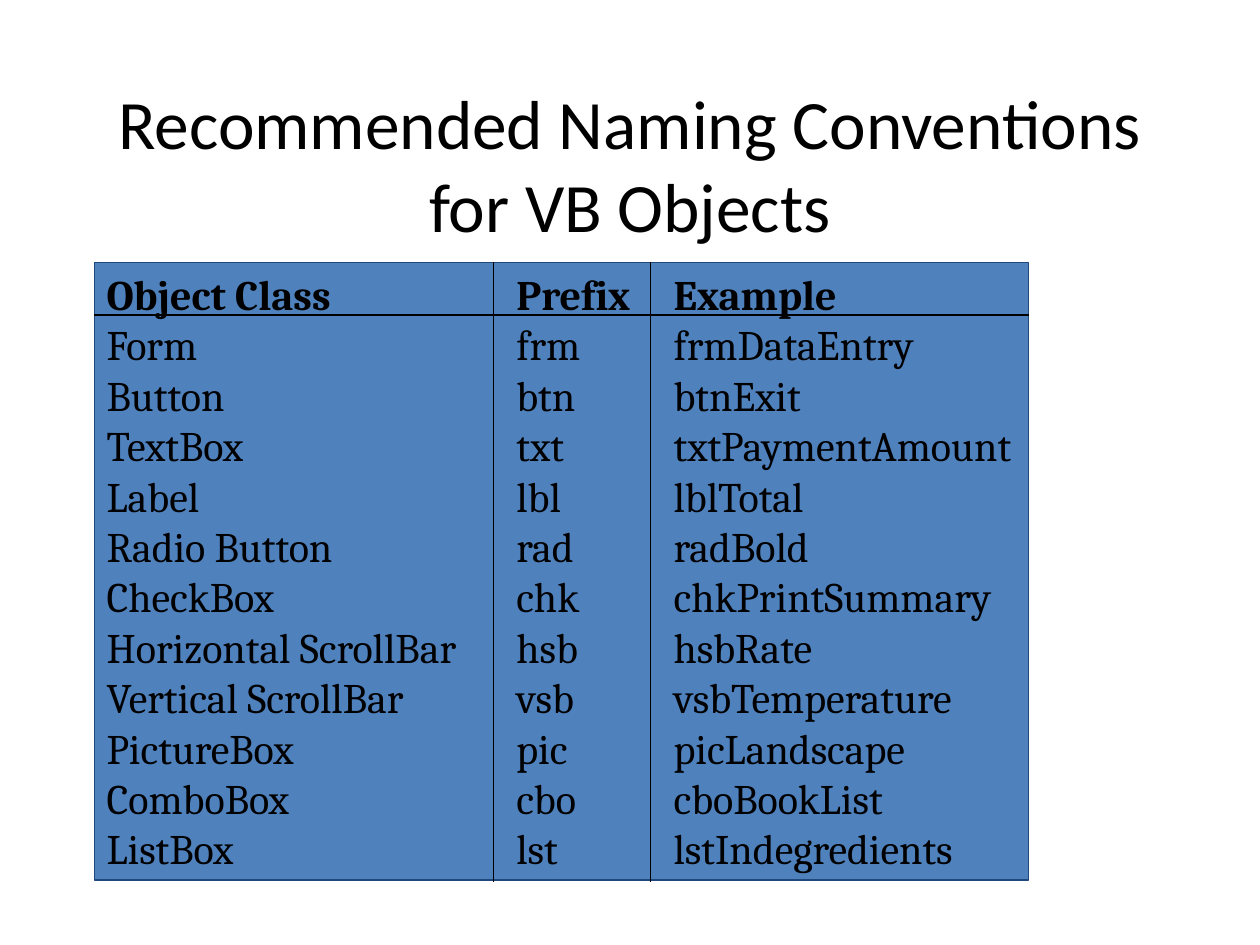
from lxml import etree
from pptx import Presentation
from pptx import util as u
from pptx.dml.color import RGBColor
from pptx.enum import shapes, text
from pptx.oxml.ns import qn

ROWS = [
    ("Object Class", "Prefix", "Example"),
    ("Form", "frm", "frmDataEntry"),
    ("Button", "btn", "btnExit"),
    ("TextBox", "txt", "txtPaymentAmount"),
    ("Label", "lbl", "lblTotal"),
    ("Radio Button", "rad", "radBold"),
    ("CheckBox", "chk", "chkPrintSummary"),
    ("Horizontal ScrollBar", "hsb", "hsbRate"),
    ("Vertical ScrollBar", "vsb", "vsbTemperature"),
    ("PictureBox", "pic", "picLandscape"),
    ("ComboBox", "cbo", "cboBookList"),
    ("ListBox", "lst", "lstIndegredients"),
]


def color(value):
    return RGBColor.from_string(value)


class NamingSlide:
    """Style of the slide and the methods that fill it."""

    ink = "000000"
    panel_fill = "4F81BD"
    panel_edge = "1F497D"
    line_width = u.Pt(0.75)

    def __init__(self, deck):
        self.slide = deck.slides.add_slide(deck.slide_layouts[5])
        self.group = self.slide.shapes.add_group_shape()

    def format_run(self, run, font, size, bold=False):
        run.font.name = font
        run.font.size = u.Pt(size)
        run.font.bold = bold
        run.font.color.rgb = color(self.ink)

    def title(self, wording, left, top, width, height):
        title = self.slide.shapes.title
        title.left, title.top = u.Cm(left), u.Cm(top)
        title.width, title.height = u.Cm(width), u.Cm(height)
        frame = title.text_frame
        frame.text = wording
        frame.word_wrap = True
        frame.auto_size = text.MSO_AUTO_SIZE.NONE
        frame.vertical_anchor = text.MSO_ANCHOR.MIDDLE
        para = frame.paragraphs[0]
        para.alignment = text.PP_ALIGN.CENTER
        self.format_run(para.runs[0], "Calibri", 39.6)

    def tab_stops(self, para, positions):
        stops = etree.SubElement(para._p.get_or_add_pPr(), qn("a:tabLst"))
        for position in positions:
            etree.SubElement(stops, qn("a:tab"), pos=str(u.Cm(position)), algn="l")

    def panel(self, rows, left, top, width, height, tabs):
        """Draw one box with a tabbed paragraph per row, the first one bold."""
        box = self.group.shapes.add_shape(
            shapes.MSO_SHAPE.RECTANGLE, u.Cm(left), u.Cm(top), u.Cm(width), u.Cm(height))
        box.shadow.inherit = False
        box.fill.solid()
        box.fill.fore_color.rgb = color(self.panel_fill)
        box.line.color.rgb = color(self.panel_edge)
        box.line.width = self.line_width
        frame = box.text_frame
        frame.text = "\n".join("\t".join(row) for row in rows)
        frame.word_wrap = True
        frame.auto_size = text.MSO_AUTO_SIZE.SHAPE_TO_FIT_TEXT
        frame.vertical_anchor = text.MSO_ANCHOR.TOP
        for index, para in enumerate(frame.paragraphs):
            para.alignment = text.PP_ALIGN.LEFT
            self.tab_stops(para, tabs)
            for run in para.runs:
                self.format_run(run, "Cambria", 24, bold=index == 0)

    def rule(self, x1, y1, x2, y2):
        line = self.group.shapes.add_connector(
            shapes.MSO_CONNECTOR.STRAIGHT, u.Cm(x1), u.Cm(y1), u.Cm(x2), u.Cm(y2))
        line.line.color.rgb = color(self.ink)
        line.line.width = self.line_width
        etree.SubElement(line._element.spPr, qn("a:effectLst"))


def main():
    deck = Presentation()
    deck.slide_width, deck.slide_height = u.Cm(25.4), u.Cm(19.05)
    page = NamingSlide(deck)
    page.title("Recommended Naming Conventions for VB Objects", 1.27, 1.7, 22.86, 3.18)

    left, top, width, height = 1.9, 5.29, 18.84, 12.45
    page.panel(ROWS, left, top, width, height, tabs=(8.26, 11.43))
    page.rule(left, 6.35, left + width, 6.35)
    for column_edge in (9.95, 13.12):
        page.rule(column_edge, top, column_edge, 17.78)

    deck.save("out.pptx")


if __name__ == "__main__":
    main()
